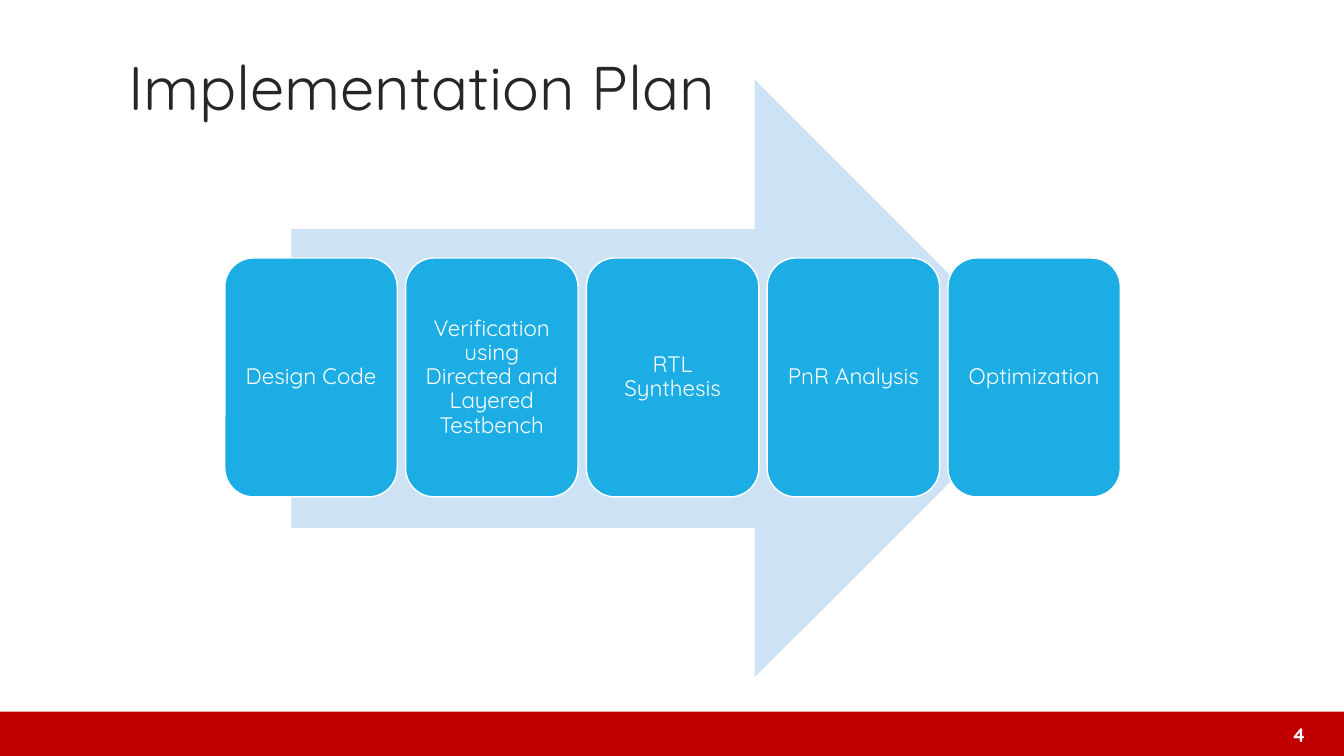
from dataclasses import dataclass

from pptx import Presentation
from pptx.dml.color import RGBColor
from pptx.enum.shapes import MSO_SHAPE
from pptx.enum.text import MSO_ANCHOR, MSO_AUTO_SIZE, PP_ALIGN
from pptx.shapes.autoshape import Shape
from pptx.slide import Slide
from pptx.text.text import TextFrame
from pptx.util import Inches, Pt

FONT = "Quicksand"
WHITE, INK, RED = "FFFFFF", "262626", "C00000"
STEP_BLUE, ARROW_BLUE = "1CADE4", "CDE3F5"

STEPS = [
    "Design Code",
    "Verification using Directed and Layered Testbench",
    "RTL Synthesis",
    "PnR Analysis",
    "Optimization",
]
FIRST_STEP_LEFT, STEP_PITCH = 2.23, 1.793
STEP_TOP, STEP_WIDTH, STEP_HEIGHT = 2.56, 1.71, 2.37


@dataclass(frozen=True)
class Box:
    left: float
    top: float
    width: float
    height: float

    def lengths(self) -> tuple[Inches, Inches, Inches, Inches]:
        return (Inches(self.left), Inches(self.top),
                Inches(self.width), Inches(self.height))


@dataclass(frozen=True)
class TextStyle:
    size: int
    color: str
    align: PP_ALIGN
    anchor: MSO_ANCHOR
    bold: bool = False
    line_spacing: float = 0.9


TITLE_STYLE = TextStyle(44, INK, PP_ALIGN.LEFT, MSO_ANCHOR.MIDDLE)
STEP_STYLE = TextStyle(16, WHITE, PP_ALIGN.CENTER, MSO_ANCHOR.MIDDLE)
NUMBER_STYLE = TextStyle(14, WHITE, PP_ALIGN.RIGHT, MSO_ANCHOR.BOTTOM,
                         bold=True, line_spacing=1.0)


def rgb(color: str) -> RGBColor:
    return RGBColor.from_string(color)


def write(frame: TextFrame, text: str, style: TextStyle) -> None:
    frame.text = text
    frame.word_wrap = True
    frame.auto_size = MSO_AUTO_SIZE.NONE
    frame.vertical_anchor = style.anchor
    paragraph = frame.paragraphs[0]
    paragraph.alignment = style.align
    paragraph.line_spacing = style.line_spacing
    font = paragraph.runs[0].font
    font.name = FONT
    font.size = Pt(style.size)
    font.bold = style.bold
    font.color.rgb = rgb(style.color)


def add_filled(slide: Slide, kind: MSO_SHAPE, box: Box, fill: str) -> Shape:
    """Add a flat preset shape without an outline."""
    shape = slide.shapes.add_shape(kind, *box.lengths())
    shape.shadow.inherit = False
    shape.fill.solid()
    shape.fill.fore_color.rgb = rgb(fill)
    shape.line.fill.background()
    return shape


def add_step(slide: Slide, index: int, label: str) -> None:
    left = FIRST_STEP_LEFT + index * STEP_PITCH
    step = add_filled(slide, MSO_SHAPE.ROUNDED_RECTANGLE,
                      Box(left, STEP_TOP, STEP_WIDTH, STEP_HEIGHT), STEP_BLUE)
    step.line.color.rgb = rgb(WHITE)
    step.line.width = Pt(1)
    frame = step.text_frame
    frame.margin_left = frame.margin_right = Inches(0.07)
    frame.margin_top = frame.margin_bottom = Inches(0.07)
    write(frame, label, STEP_STYLE)


def main() -> None:
    deck = Presentation()
    deck.slide_width, deck.slide_height = Inches(13.33), Inches(7.5)
    slide = deck.slides.add_slide(deck.slide_layouts[5])

    title = slide.shapes.title
    title.left, title.top, title.width, title.height = Box(1.17, 0.5, 11, 0.8).lengths()
    write(title.text_frame, "Implementation Plan", TITLE_STYLE)

    add_filled(slide, MSO_SHAPE.RECTANGLE, Box(0, 7.06, 13.33, 0.45), RED)
    page_number = slide.shapes.add_textbox(*Box(12.48, 7.11, 0.57, 0.34).lengths())
    write(page_number.text_frame, "4", NUMBER_STYLE)

    add_filled(slide, MSO_SHAPE.RIGHT_ARROW, Box(2.89, 0.79, 7.56, 5.93), ARROW_BLUE)
    for index, label in enumerate(STEPS):
        add_step(slide, index, label)

    deck.save("out.pptx")


if __name__ == "__main__":
    main()
